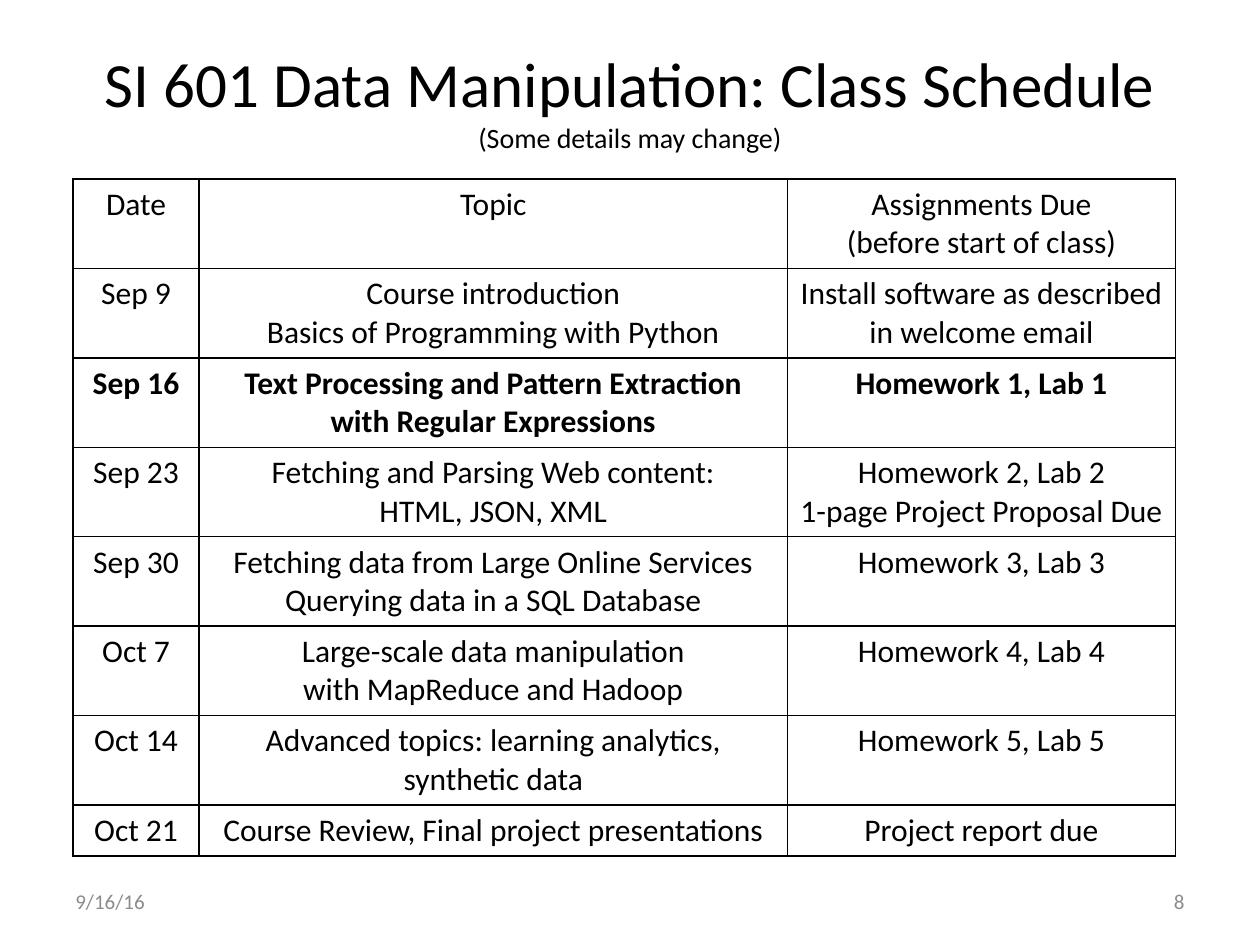
from lxml.etree import SubElement
from pptx import Presentation
from pptx.dml.color import RGBColor
from pptx.enum.text import MSO_ANCHOR, MSO_AUTO_SIZE, PP_ALIGN
from pptx.oxml.ns import qn
from pptx.util import Inches, Pt

COLORS = {"text": "000000", "footer": "8C8C8C", "cell": "FFFFFF", "border": "000000"}
FONT = "Calibri"
COLUMN_WIDTHS = [1, 4.67, 3.08]
LINE_HEIGHT = 0.305
CELL_PADDING = 0.1
CURRENT_DATE = "Sep 16"
SCHEDULE = [
    ("Date", "Topic", "Assignments Due\n(before start of class)"),
    ("Sep 9", "Course introduction\nBasics of Programming with Python",
     "Install software as described in welcome email"),
    ("Sep 16", "Text Processing and Pattern Extraction\vwith Regular Expressions",
     "Homework 1, Lab 1"),
    ("Sep 23", "Fetching and Parsing Web content:\nHTML, JSON, XML",
     "Homework 2, Lab 2\n1-page Project Proposal Due"),
    ("Sep 30", "Fetching data from Large Online Services\nQuerying data in a SQL Database",
     "Homework 3, Lab 3"),
    ("Oct 7", "Large-scale data manipulation\nwith MapReduce and Hadoop",
     "Homework 4, Lab 4"),
    ("Oct 14", "Advanced topics: learning analytics, synthetic data", "Homework 5, Lab 5"),
    ("Oct 21", "Course Review, Final project presentations", "Project report due"),
]


def format_text(text_frame, size, color, alignment, bold=False):
    for paragraph in text_frame.paragraphs:
        paragraph.alignment = alignment
        for run in paragraph.runs:
            run.font.name = FONT
            run.font.size = Pt(size)
            run.font.bold = bold
            run.font.color.rgb = RGBColor.from_string(COLORS[color])


def add_borders(cell, width):
    properties = cell._tc.get_or_add_tcPr()
    for position, side in enumerate(("a:lnL", "a:lnR", "a:lnT", "a:lnB")):
        line = SubElement(properties, qn(side), w=str(Pt(width)))
        fill = SubElement(line, qn("a:solidFill"))
        SubElement(fill, qn("a:srgbClr"), val=COLORS["border"])
        properties.insert(position, line)


def place_title(slide, left, top, width, height):
    title = slide.shapes.title
    title.left, title.top = Inches(left), Inches(top)
    title.width, title.height = Inches(width), Inches(height)
    text_frame = title.text_frame
    text_frame.text = "SI 601 Data Manipulation: Class Schedule\v(Some details may change)"
    text_frame.auto_size = MSO_AUTO_SIZE.NONE
    text_frame.vertical_anchor = MSO_ANCHOR.MIDDLE
    text_frame.margin_bottom = Inches(0.32)
    format_text(text_frame, 36, "text", PP_ALIGN.CENTER)
    text_frame.paragraphs[0].runs[1].font.size = Pt(16)


def add_schedule(slide, left, top):
    line_counts = [2] * (len(SCHEDULE) - 1) + [1]
    row_heights = [count * LINE_HEIGHT + CELL_PADDING for count in line_counts]
    frame = slide.shapes.add_table(
        len(SCHEDULE), len(COLUMN_WIDTHS), Inches(left), Inches(top),
        Inches(sum(COLUMN_WIDTHS)), Inches(sum(row_heights)))
    table = frame.table
    table.first_row = table.horz_banding = False
    for column, width in zip(table.columns, COLUMN_WIDTHS):
        column.width = Inches(width)
    for row, height, texts in zip(table.rows, row_heights, SCHEDULE):
        row.height = Inches(height)
        for cell, text in zip(row.cells, texts):
            cell.text_frame.text = text
            format_text(cell.text_frame, 18, "text", PP_ALIGN.CENTER,
                        bold=texts[0] == CURRENT_DATE)
            cell.fill.solid()
            cell.fill.fore_color.rgb = RGBColor.from_string(COLORS["cell"])
            add_borders(cell, 1)


def add_footer(slide, left, top, width, height):
    box_width = 2.33
    footers = [
        ("9/16/16", left, PP_ALIGN.LEFT),
        ("8", left + width - box_width, PP_ALIGN.RIGHT),
    ]
    for text, box_left, alignment in footers:
        box = slide.shapes.add_textbox(
            Inches(box_left), Inches(top), Inches(box_width), Inches(height))
        text_frame = box.text_frame
        text_frame.word_wrap = True
        text_frame.vertical_anchor = MSO_ANCHOR.MIDDLE
        text_frame.text = text
        format_text(text_frame, 12, "footer", alignment)


def main():
    presentation = Presentation()
    presentation.slide_width, presentation.slide_height = Inches(10), Inches(7.5)
    slide = presentation.slides.add_slide(presentation.slide_layouts[5])
    place_title(slide, 0.5, 0.3, 9, 1.25)
    add_footer(slide, 0.5, 6.95, 9, 0.4)
    add_schedule(slide, 0.58, 1.42)
    presentation.save("out.pptx")


if __name__ == "__main__":
    main()
